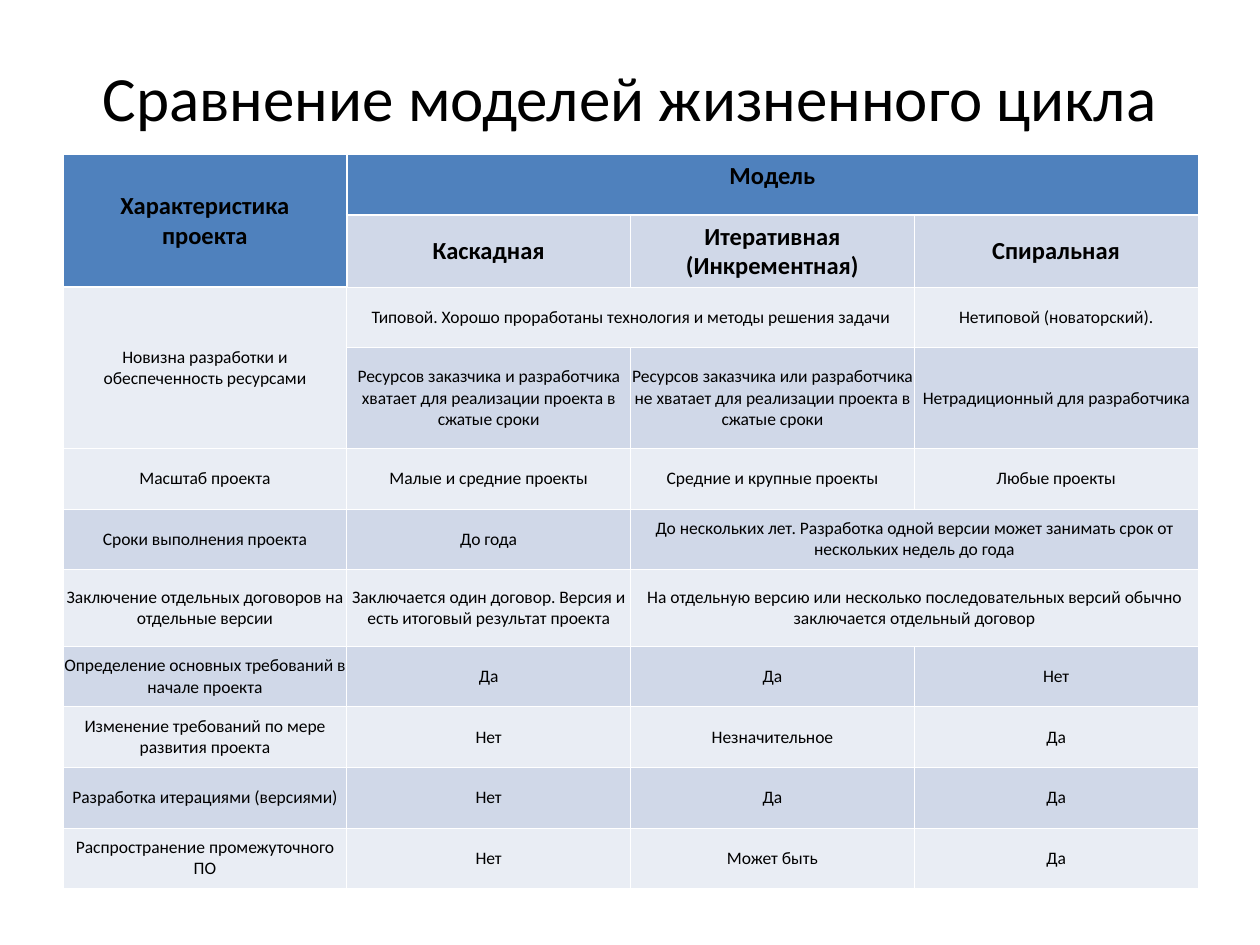
from lxml import etree
from pptx import Presentation
from pptx import util as u
from pptx.dml.color import RGBColor
from pptx.enum import text
from pptx.oxml.ns import qn

BLACK = RGBColor(0x00, 0x00, 0x00)
WHITE = RGBColor(0xFF, 0xFF, 0xFF)
HEADER = RGBColor(0x4F, 0x81, 0xBD)
BANDS = (RGBColor(0xE9, 0xED, 0xF4), RGBColor(0xD0, 0xD8, 0xE8))
THIN, THICK = u.Pt(0.45), u.Pt(1.47)

TITLE = "Сравнение моделей жизненного цикла"
LEFT, ABOVE = "<", "^"  # the cell joins its left or upper neighbour
HEADER_ROWS = 2

# Height in cm, then the four cells
ROWS = [
    (1.22, "Характеристика\nпроекта", "Модель", LEFT, LEFT),
    (1.45, ABOVE, "Каскадная", "Итеративная (Инкрементная)", "Спиральная"),
    (1.22, "Новизна разработки и обеспеченность ресурсами",
     "Типовой. Хорошо проработаны технология и методы решения задачи", LEFT,
     "Нетиповой (новаторский)."),
    (2.03, ABOVE,
     "Ресурсов заказчика и разработчика хватает для реализации проекта в сжатые сроки",
     "Ресурсов заказчика или разработчика не хватает для реализации проекта в сжатые сроки",
     "Нетрадиционный для разработчика"),
    (1.22, "Масштаб проекта", "Малые и средние проекты",
     "Средние и крупные проекты", "Любые проекты"),
    (1.22, "Сроки выполнения проекта", "До года",
     "До нескольких лет. Разработка одной версии может занимать срок от "
     "нескольких недель до года", LEFT),
    (1.55, "Заключение отдельных договоров на отдельные версии",
     "Заключается один договор. Версия и есть итоговый результат проекта",
     "На отдельную версию или несколько последовательных версий обычно "
     "заключается отдельный договор", LEFT),
    (1.22, "Определение основных требований в начале проекта", "Да", "Да", "Нет"),
    (1.22, "Изменение требований по мере развития проекта",
     "Нет", "Незначительное", "Да"),
    (1.22, "Разработка итерациями (версиями)", "Нет", "Да", "Да"),
    (1.22, "Распространение промежуточного ПО", "Нет", "Может быть", "Да"),
]
COLUMNS = 4
COLUMN_WIDTH = 5.72


def write(frame, words, size, bold=False):
    frame.word_wrap = True
    frame.text = words
    for para in frame.paragraphs:
        para.alignment = text.PP_ALIGN.CENTER
        for span in para.runs:
            span.font.name = "Calibri"
            span.font.size = u.Pt(size)
            span.font.bold = bold
            span.font.color.rgb = BLACK


def is_blue(row, column):
    return row == 0 or (row < HEADER_ROWS and column == 0)


def draw_borders(cell, row, column):
    """Draw white cell edges, thick where blue header cells meet the rest."""
    neighbours = {"L": (row, column - 1), "R": (row, column + 1),
                  "T": (row - 1, column), "B": (row + 1, column)}
    corner = {(0, 0), (0, 1)}
    properties = cell._tc.get_or_add_tcPr()
    for side, other in neighbours.items():
        inside = min(other) >= 0
        meets = inside and is_blue(row, column) != is_blue(*other)
        thick = meets or {(row, column), other} == corner
        line = etree.SubElement(properties, qn(f"a:ln{side}"),
                                w=str(THICK if thick else THIN))
        fill = etree.SubElement(line, qn("a:solidFill"))
        etree.SubElement(fill, qn("a:srgbClr"), val=str(WHITE))


def add_title(page):
    box = page.shapes.add_textbox(u.Cm(1.27), u.Cm(0.76), u.Cm(22.86), u.Cm(2.36))
    box.text_frame.vertical_anchor = text.MSO_ANCHOR.MIDDLE
    write(box.text_frame, TITLE, size=36)


def origin_of(row, column):
    """Find the cell that a joined cell belongs to."""
    mark = ROWS[row][column + 1]
    if mark == LEFT:
        return origin_of(row, column - 1)
    if mark == ABOVE:
        return origin_of(row - 1, column)
    return row, column


def add_comparison(page):
    height = sum(row[0] for row in ROWS)
    table = page.shapes.add_table(
        len(ROWS), COLUMNS, u.Cm(1.27), u.Cm(3.12),
        u.Cm(COLUMN_WIDTH * COLUMNS), u.Cm(height)).table
    table.first_row = table.horz_banding = False
    for column in table.columns:
        column.width = u.Cm(COLUMN_WIDTH)

    for row, (row_height, *words) in enumerate(ROWS):
        table.rows[row].height = u.Cm(row_height)
        for column, content in enumerate(words):
            cell = table.cell(row, column)
            start = origin_of(row, column)
            draw_borders(cell, row, column)
            cell.fill.solid()
            cell.fill.fore_color.rgb = HEADER if is_blue(*start) else BANDS[start[0] % 2]
            cell.margin_left = cell.margin_right = u.Cm(0.02)
            cell.margin_top = cell.margin_bottom = u.Cm(0.13)
            if start == (row, column):
                in_header = row < HEADER_ROWS
                write(cell.text_frame, content, size=14 if in_header else 10, bold=in_header)
                cell.vertical_anchor = (text.MSO_ANCHOR.TOP if content == "Модель"
                                        else text.MSO_ANCHOR.MIDDLE)

    last_cells = {}
    for row in range(len(ROWS)):
        for column in range(COLUMNS):
            last_cells[origin_of(row, column)] = (row, column)
    for start, end in last_cells.items():
        if start != end:
            table.cell(*start).merge(table.cell(*end))


def main():
    deck = Presentation()
    deck.slide_width, deck.slide_height = u.Cm(25.4), u.Cm(19.05)
    page = deck.slides.add_slide(deck.slide_layouts[6])
    add_title(page)
    add_comparison(page)
    deck.save("out.pptx")


if __name__ == "__main__":
    main()
